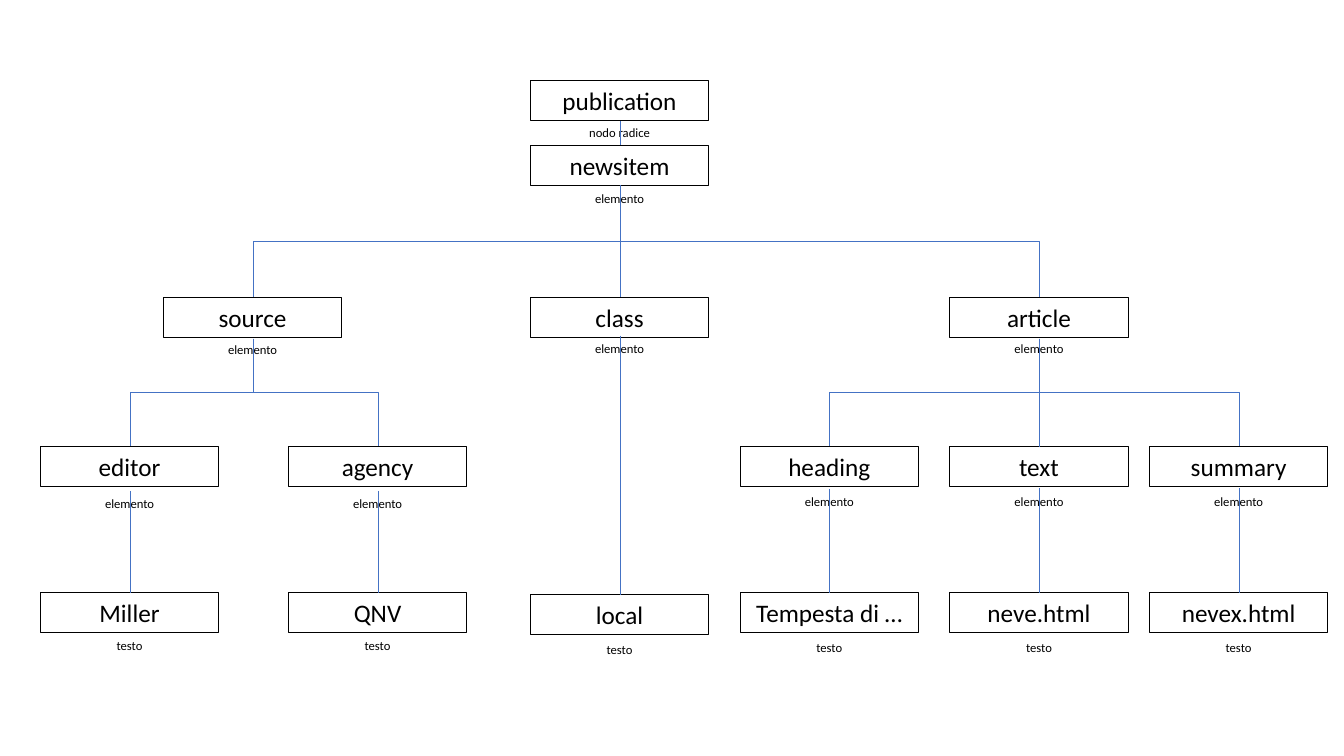
from collections.abc import Iterator
from dataclasses import dataclass

from lxml import etree
from pptx import Presentation
from pptx.dml.color import RGBColor
from pptx.enum.shapes import MSO_CONNECTOR, MSO_SHAPE
from pptx.enum.text import MSO_ANCHOR, MSO_AUTO_SIZE, PP_ALIGN
from pptx.oxml.ns import qn
from pptx.shapes.autoshape import Shape
from pptx.slide import Slide
from pptx.util import Emu, Pt

RECT = MSO_SHAPE.RECTANGLE
STRAIGHT = MSO_CONNECTOR.STRAIGHT
ELBOW = MSO_CONNECTOR.ELBOW
TOP = MSO_ANCHOR.TOP
CENTER = PP_ALIGN.CENTER
FIT_SHAPE = MSO_AUTO_SIZE.SHAPE_TO_FIT_TEXT

EMU_PER_PX = 9144
SLIDE_W, SLIDE_H = 1333, 750
BOX_W, BOX_H, CAPTION_H = 177, 40, 25
CENTER_DX = 89
QUARTER_TURN = 5400000
BLANK_LAYOUT = 6


@dataclass(frozen=True)
class Theme:
    font: str = "Calibri"
    ink: RGBColor = RGBColor(0x00, 0x00, 0x00)
    link: RGBColor = RGBColor(0x44, 0x72, 0xC4)
    name_size: Pt = Pt(18)
    caption_size: Pt = Pt(9)
    box_line: Pt = Pt(0.75)
    link_line: Pt = Pt(0.5)


@dataclass(frozen=True)
class Node:
    name: str
    x: int
    y: int
    caption: str
    caption_y: int
    exit_y: int = 0
    children: tuple["Node", ...] = ()


THEME = Theme()
EDITOR_X, SOURCE_X, AGENCY_X, CLASS_X = 40, 162, 286, 526
HEADING_X, ARTICLE_X, SUMMARY_X = 734, 942, 1140
ROOT_Y, ITEM_Y, BRANCH_Y, FIELD_Y, LEAF_Y, LOCAL_Y = 80, 144, 295, 443, 588, 590


def field(name: str, value: str, x: int, caption_y: int,
          exit_y: int, value_caption_y: int) -> Node:
    leaf = Node(value, x, LEAF_Y, "testo", value_caption_y)
    return Node(name, x, FIELD_Y, "elemento", caption_y, exit_y, (leaf,))


SOURCE = Node("source", SOURCE_X, BRANCH_Y, "elemento", 334, 336, (
    field("editor", "Miller", EDITOR_X, 487, 487, 628),
    field("agency", "QNV", AGENCY_X, 487, 487, 628),
))
CLASS = Node("class", CLASS_X, BRANCH_Y, "elemento", 333, 333, (
    Node("local", CLASS_X, LOCAL_Y, "testo", 632),
))
ARTICLE = Node("article", ARTICLE_X, BRANCH_Y, "elemento", 333, 336, (
    field("heading", "Tempesta di …", HEADING_X, 485, 485, 630),
    field("text", "neve.html", ARTICLE_X, 485, 484, 630),
    field("summary", "nevex.html", SUMMARY_X, 485, 484, 630),
))
NEWSITEM = Node("newsitem", CLASS_X, ITEM_Y, "elemento", 184, 184,
                (SOURCE, CLASS, ARTICLE))
ROOT = Node("publication", CLASS_X, ROOT_Y, "nodo radice", 119, 120, (NEWSITEM,))


def px(value: float) -> Emu:
    return Emu(round(value * EMU_PER_PX))


def walk(node: Node) -> Iterator[Node]:
    yield node
    for child in node.children:
        yield from walk(child)


def write(sp: Shape, text: str, size: Pt) -> None:
    tf = sp.text_frame
    tf.word_wrap = True
    tf.auto_size = FIT_SHAPE
    tf.vertical_anchor = TOP
    p = tf.paragraphs[0]
    p.text = text
    p.alignment = CENTER
    p.font.name = THEME.font
    p.font.size = size
    p.font.color.rgb = THEME.ink


def draw_node(slide: Slide, node: Node) -> None:
    sp = slide.shapes.add_shape(RECT, px(node.x), px(node.y), px(BOX_W), px(BOX_H))
    sp.shadow.inherit = False
    sp.fill.background()
    sp.line.color.rgb = THEME.ink
    sp.line.width = THEME.box_line
    write(sp, node.name, THEME.name_size)
    sp = slide.shapes.add_textbox(px(node.x), px(node.caption_y), px(BOX_W), px(CAPTION_H))
    write(sp, node.caption, THEME.caption_size)


def draw_link(slide: Slide, parent: Node, child: Node) -> None:
    x1, y1 = parent.x + CENTER_DX, parent.exit_y
    x2, y2 = child.x + CENTER_DX, child.y
    if x1 == x2:
        sp = slide.shapes.add_connector(STRAIGHT, px(x1), px(y1), px(x2), px(y2))
    else:
        mid_x, mid_y = (x1 + x2) / 2, (y1 + y2) / 2
        half_w, half_h = abs(x2 - x1) / 2, (y2 - y1) / 2
        side = 1 if x2 > x1 else -1
        sp = slide.shapes.add_connector(
            ELBOW, px(mid_x + side * half_h), px(mid_y - half_w),
            px(mid_x - side * half_h), px(mid_y + half_w))
        turns = 3 if x2 > x1 else 1
        sp._element.spPr.find(qn("a:xfrm")).set("rot", str(turns * QUARTER_TURN))
    sp.line.color.rgb = THEME.link
    sp.line.width = THEME.link_line
    etree.SubElement(sp._element.spPr, qn("a:effectLst"))


def main() -> None:
    prs = Presentation()
    prs.slide_width, prs.slide_height = px(SLIDE_W), px(SLIDE_H)
    slide = prs.slides.add_slide(prs.slide_layouts[BLANK_LAYOUT])
    for node in walk(ROOT):
        draw_node(slide, node)
    for node in walk(ROOT):
        for child in node.children:
            draw_link(slide, node, child)
    prs.save("out.pptx")


if __name__ == "__main__":
    main()
